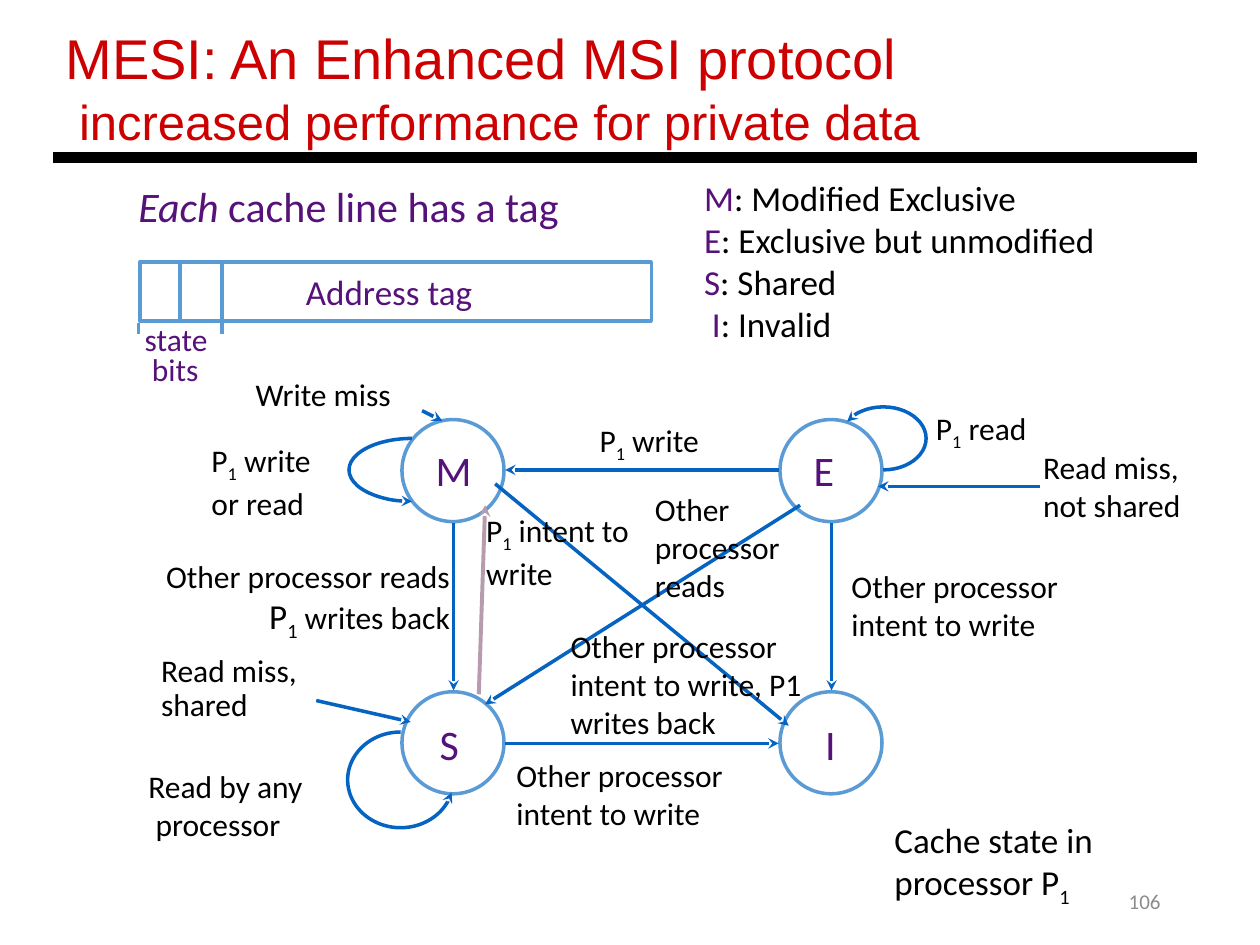
from lxml.etree import SubElement
from pptx import Presentation
from pptx.dml.color import RGBColor
from pptx.enum.shapes import MSO_CONNECTOR, MSO_SHAPE
from pptx.enum.text import MSO_ANCHOR, MSO_AUTO_SIZE, PP_ALIGN
from pptx.oxml.ns import qn
from pptx.util import Inches, Pt

RED = RGBColor(0xCC, 0x00, 0x00)
BLACK = RGBColor(0x00, 0x00, 0x00)
WHITE = RGBColor(0xFF, 0xFF, 0xFF)
GRAY = RGBColor(0x8C, 0x8C, 0x8C)
PURPLE = RGBColor(0x56, 0x12, 0x7A)
OUTLINE = RGBColor(0x5B, 0x9B, 0xD5)
ARROW = RGBColor(0x05, 0x63, 0xC1)
MAUVE = RGBColor(0xB6, 0x9C, 0xAC)

TITLE = "MESI: An Enhanced MSI protocol"
SUBTITLE = " increased performance for private data"

DIAMETER = 0.81
STATE_CORNERS = [(x, y) for y in (3.33, 5.49) for x in (3.19, 6.19)]
# letter, left, top, width
STATE_LETTERS = [("M", 3.36, 3.48, 0.49), ("E", 6.36, 3.48, 0.37),
                 ("S", 3.39, 5.65, 0.36), ("I", 6.45, 5.65, 0.29)]

TAG_TOP, TAG_BOTTOM = 2.06, 2.56
TAG_LINES = [  # x, top, bottom
    (1.43, TAG_TOP, TAG_BOTTOM), (1.76, TAG_TOP, TAG_BOTTOM),
    (1.1, TAG_BOTTOM, 2.65), (1.76, TAG_BOTTOM, 2.65),
]

TRANSITIONS = [  # from, to
    ((3.35, 3.26), (3.51, 3.34)),   # write miss -> M
    ((6.6, 4.15), (6.6, 5.48)),     # E -> I
    ((2.51, 5.56), (3.26, 5.73)),   # read miss, shared -> S
    ((4.01, 5.9), (6.18, 5.9)),     # S -> I
    ((6.18, 3.73), (4.01, 3.73)),   # E -> M
    ((3.6, 4.15), (3.6, 5.48)),     # M -> S
    ((8.25, 3.86), (6.97, 3.86)),   # read miss, not shared -> E
    ((6.35, 4.01), (3.85, 5.59)),   # E -> S
    ((3.93, 3.84), (6.26, 5.76)),   # M -> I
]
INTENT_TO_WRITE = ((3.8, 5.51), (3.85, 4.01))  # S -> M

SELF_LOOPS = [  # centre, radii, start and end angle in degrees
    ((3.18, 6.19), (0.42, 0.38), 14, 270),
    ((7.01, 3.48), (0.34, 0.25), 205, 90),
    ((3.27, 3.73), (0.5, 0.25), 90, 270),
]

# left, top, width, height, lines; "_1" stands for a subscript 1
EVENTS = [
    (1.93, 2.93, 1.3, 0.4, ["Write miss"]),
    (6.66, 4.45, 1.86, 0.71, ["Other processor", "intent to write"]),
    (4, 5.95, 1.86, 0.71, ["Other processor", "intent to write"]),
    (4.66, 3.29, 1.01, 0.4, ["P_1 write"]),
    (1.08, 6.04, 1.45, 0.71, ["Read by any", " processor"]),
    (7.33, 3.2, 0.94, 0.4, ["P_1 read"]),
    (1.58, 3.45, 1.01, 0.71, ["P_1 write", "or read"]),
]
WRAPPED_EVENTS = [
    (3.76, 4.01, 1.5, 0.71, ["P_1 intent to write"]),
    (8.18, 3.51, 1.6, 0.7, ["Read miss, not shared"]),
    (5.1, 3.84, 1.67, 1.01, ["Other processor", "reads"]),
    (4.43, 4.93, 2.33, 1.01, ["Other processor intent to write, P1 writes back"]),
]
LEGEND = [("M", ": Modified Exclusive"), ("E", ": Exclusive but unmodified"),
          ("S", ": Shared"), (" I", ": Invalid")]


def style(run, size, color, name="Calibri"):
    run.font.size = Pt(size)
    run.font.name = name
    run.font.color.rgb = color


def add_label(slide, left, top, width, height, lines, size=18, color=BLACK,
              wrap=False, align=PP_ALIGN.LEFT, spacing=None):
    box = slide.shapes.add_textbox(Inches(left), Inches(top), Inches(width), Inches(height))
    frame = box.text_frame
    frame.word_wrap = wrap
    for number, line in enumerate(lines):
        paragraph = frame.add_paragraph() if number else frame.paragraphs[0]
        paragraph.alignment = align
        if spacing:
            paragraph.line_spacing = spacing
        before, subscript, after = line.partition("_1")
        for part in filter(None, (before, subscript, after)):
            run = paragraph.add_run()
            run.text = part.lstrip("_")
            style(run, size, color)
            if part == "_1":
                run.font._element.set("baseline", "-25000")
    return frame


def add_arrowhead(line, end):
    """Put a stealth head on a line; end is "headEnd" (start) or "tailEnd"."""
    SubElement(line._get_or_add_ln(), qn(f"a:{end}"), type="stealth")


def add_line(slide, start, end, color, width=2, arrow=False):
    connector = slide.shapes.add_connector(
        MSO_CONNECTOR.STRAIGHT, *map(Inches, (*start, *end)))
    connector.line.color.rgb = color
    connector.line.width = Pt(width)
    if arrow:
        add_arrowhead(connector.line, "tailEnd")
    SubElement(connector._element.spPr, qn("a:effectLst"))


def add_outline(slide, preset, left, top, width, height, color=OUTLINE):
    shape = slide.shapes.add_shape(preset, *map(Inches, (left, top, width, height)))
    shape.shadow.inherit = False
    shape.fill.solid()
    shape.fill.fore_color.rgb = WHITE
    shape.line.color.rgb = color
    shape.line.width = Pt(2)
    return shape


def add_title(slide):
    title = slide.shapes.title
    title.left, title.top, title.width, title.height = map(Inches, (0.42, 0.14, 8.26, 1.11))
    frame = title.text_frame
    frame.text = f"{TITLE}\v{SUBTITLE}"
    frame.auto_size = MSO_AUTO_SIZE.NONE
    frame.vertical_anchor = MSO_ANCHOR.TOP
    frame.paragraphs[0].alignment = PP_ALIGN.LEFT
    for run, size in zip(frame.paragraphs[0].runs, (32, 28)):
        style(run, size, RED, "Arial")
    add_line(slide, (0.42, 1.25), (9.5, 1.25), BLACK, 6)


def add_cache_tag(slide):
    heading = add_label(slide, 1, 1.38, 3.6, 0.51, ["Each "], 24, PURPLE).paragraphs[0]
    heading.runs[0].font.italic = True
    rest = heading.add_run()
    rest.text = "cache line has a tag"
    style(rest, 24, PURPLE)
    add_outline(slide, MSO_SHAPE.RECTANGLE, 1.11, 2.08, 4.06, 0.47)
    for x, top, bottom in TAG_LINES:
        add_line(slide, (x, top), (x, bottom), OUTLINE)
    add_label(slide, 2.33, 2.1, 1.54, 0.44, ["Address tag"], 20, PURPLE)
    add_label(slide, 1.05, 2.55, 0.72, 0.6, ["state", " bits"], 18, PURPLE, spacing=0.8)


def add_legend(slide):
    lines = [letter for letter, _ in LEGEND]
    frame = add_label(slide, 5.49, 1.35, 3.34, 1.45, lines, 20, PURPLE)
    for paragraph, (_, meaning) in zip(frame.paragraphs, LEGEND):
        run = paragraph.add_run()
        run.text = meaning
        style(run, 20, BLACK)


def add_state_diagram(slide):
    for left, top in STATE_CORNERS:
        add_outline(slide, MSO_SHAPE.OVAL, left, top, DIAMETER, DIAMETER)
    for letter, left, top, width in STATE_LETTERS:
        add_label(slide, left, top, width, 0.51, [letter], 24, PURPLE)
    for start, end in TRANSITIONS:
        add_line(slide, start, end, ARROW, arrow=True)
    add_line(slide, *INTENT_TO_WRITE, MAUVE, 2.25, arrow=True)
    for (x, y), (rx, ry), first, last in SELF_LOOPS:
        loop = add_outline(slide, MSO_SHAPE.ARC, x - rx, y - ry, 2 * rx, 2 * ry, ARROW)
        loop.fill.background()
        for index, degrees in enumerate((first, last)):
            loop.adjustments[index] = degrees * 0.6  # 60000ths of a degree / 100000
        add_arrowhead(loop.line, "headEnd")
    for event in EVENTS:
        add_label(slide, *event)
    for event in WRAPPED_EVENTS:
        add_label(slide, *event, wrap=True)
    add_label(slide, 1.18, 5.15, 1.3, 0.65, ["Read miss,", "shared"], spacing=0.9)
    write_back = add_label(slide, 1.18, 4.37, 2.49, 0.74,
                           ["Other processor reads", "P_1 writes back"], align=PP_ALIGN.RIGHT)
    for run in write_back.paragraphs[1].runs[:2]:
        run.font.size = Pt(20)


def main():
    presentation = Presentation()
    presentation.slide_width, presentation.slide_height = Inches(10), Inches(7.5)
    slide = presentation.slides.add_slide(presentation.slide_layouts[5])
    add_title(slide)
    add_cache_tag(slide)
    add_legend(slide)
    add_state_diagram(slide)
    add_label(slide, 7, 6.45, 2.39, 0.77, ["Cache state in processor P_1"], 20, wrap=True)
    page_number = add_label(slide, 7.06, 6.95, 2.25, 0.4, ["106"], 12, GRAY,
                            wrap=True, align=PP_ALIGN.RIGHT)
    page_number.vertical_anchor = MSO_ANCHOR.MIDDLE
    presentation.save("out.pptx")


if __name__ == "__main__":
    main()
